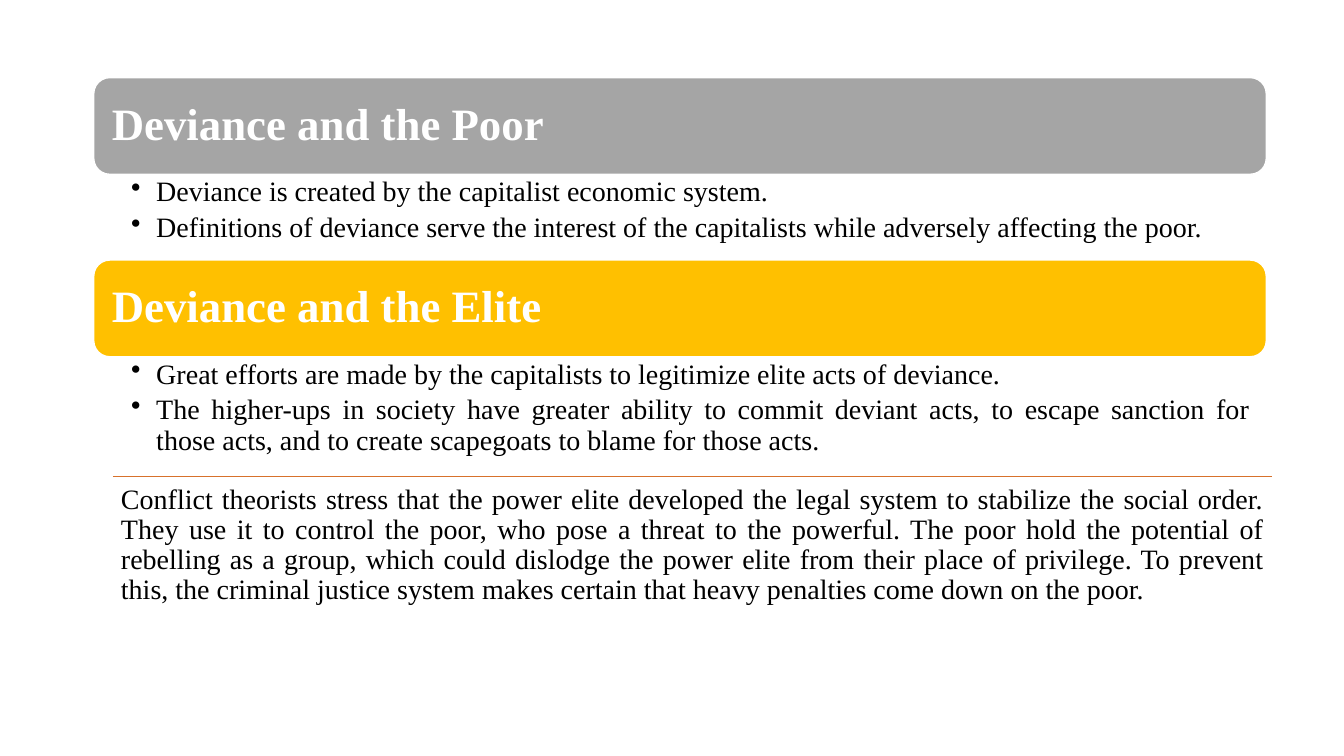
"""Builds a slide on deviance among the poor and the elite."""
from lxml.etree import SubElement
from pptx import Presentation
from pptx.dml.color import RGBColor
from pptx.enum.shapes import MSO_CONNECTOR as Connector, MSO_SHAPE as Preset
from pptx.enum.text import MSO_ANCHOR as Anchor, PP_ALIGN as Align
from pptx.oxml.ns import qn
from pptx.util import Inches, Pt

FONT = "Times New Roman"
WHITE, BLACK, RULE_COLOR = "FFFFFF", "000000", "D7712C"
SECTIONS = [
    ("Deviance and the Poor", "A5A5A5", 0.85, [
        "Deviance is created by the capitalist economic system.",
        "Definitions of deviance serve the interest of the capitalists while "
        "adversely affecting the poor.",
    ]),
    ("Deviance and the Elite", "FFC000", 0.98, [
        "Great efforts are made by the capitalists to legitimize elite acts of deviance.",
        "The higher-ups in society have greater ability to commit deviant acts, to escape "
        "sanction for those acts, and to create scapegoats to blame for those acts.",
    ]),
]
SUMMARY = (
    "Conflict theorists stress that the power elite developed the legal system to stabilize "
    "the social order. They use it to control the poor, who pose a threat to the powerful. "
    "The poor hold the potential of rebelling as a group, which could dislodge the power "
    "elite from their place of privilege. To prevent this, the criminal justice system makes "
    "certain that heavy penalties come down on the poor."
)
LEFT, TOP, WIDTH, BANNER_HEIGHT, INSET = 0.93, 0.77, 11.63, 0.96, 0.05
SUMMARY_LEFT, SUMMARY_TOP, SUMMARY_WIDTH, SUMMARY_HEIGHT = 1.12, 4.73, 11.5, 1.98


def color(value):
    return RGBColor.from_string(value)


def add_text(slide, box, margins, texts, size, ink, after, align=Align.JUSTIFY,
             anchor=Anchor.TOP, bold=False, bullets=False):
    frame = slide.shapes.add_textbox(*map(Inches, box)).text_frame
    frame.word_wrap = True
    frame.vertical_anchor = anchor
    frame.margin_left, frame.margin_top, frame.margin_right, frame.margin_bottom = map(
        Inches, margins)
    for index, text in enumerate(texts):
        paragraph = frame.add_paragraph() if index else frame.paragraphs[0]
        paragraph.alignment = align
        paragraph.line_spacing = 0.9
        paragraph.space_after = Pt(after)
        if bullets:
            paragraph.level = 1
            properties = paragraph._p.get_or_add_pPr()
            properties.set("marL", str(Inches(0.25)))
            properties.set("indent", str(-Inches(0.25)))
            SubElement(properties, qn("a:buChar"), char="•")
        run = paragraph.add_run()
        run.text = text
        run.font.name = FONT
        run.font.size = Pt(size)
        run.font.bold = bold
        run.font.color.rgb = color(ink)


def add_section(slide, top, title, fill, body_height, points):
    banner = slide.shapes.add_shape(
        Preset.ROUNDED_RECTANGLE, *map(Inches, (LEFT, top, WIDTH, BANNER_HEIGHT)))
    banner.shadow.inherit = False
    banner.fill.solid()
    banner.fill.fore_color.rgb = color(fill)
    banner.line.color.rgb = color(WHITE)
    banner.line.width = Pt(1)
    title_box = (LEFT + INSET, top + INSET, WIDTH - 2 * INSET, BANNER_HEIGHT - 2 * INSET)
    add_text(slide, title_box, [0.13] * 4, [title], 32, WHITE, 11,
             align=Align.LEFT, anchor=Anchor.MIDDLE, bold=True)
    body_top = top + BANNER_HEIGHT
    add_text(slide, (LEFT, body_top, WIDTH, body_height), (0.37, 0.03, 0.16, 0.03),
             points, 20, BLACK, 4, bullets=True)
    return body_top + body_height


def add_summary(slide):
    rule = slide.shapes.add_connector(Connector.STRAIGHT, *map(Inches, (
        SUMMARY_LEFT, SUMMARY_TOP, SUMMARY_LEFT + SUMMARY_WIDTH, SUMMARY_TOP)))
    rule.line.color.rgb = color(RULE_COLOR)
    rule.line.width = Pt(1)
    SubElement(rule._element.spPr, qn("a:effectLst"))
    add_text(slide, (SUMMARY_LEFT, SUMMARY_TOP, SUMMARY_WIDTH, SUMMARY_HEIGHT),
             [0.08] * 4, [SUMMARY], 20, BLACK, 7)


def main():
    deck = Presentation()
    deck.slide_width, deck.slide_height = Inches(13.33), Inches(7.5)
    slide = deck.slides.add_slide(deck.slide_layouts[6])
    top = TOP
    for section in SECTIONS:
        top = add_section(slide, top, *section)
    add_summary(slide)
    deck.save("out.pptx")


if __name__ == "__main__":
    main()
